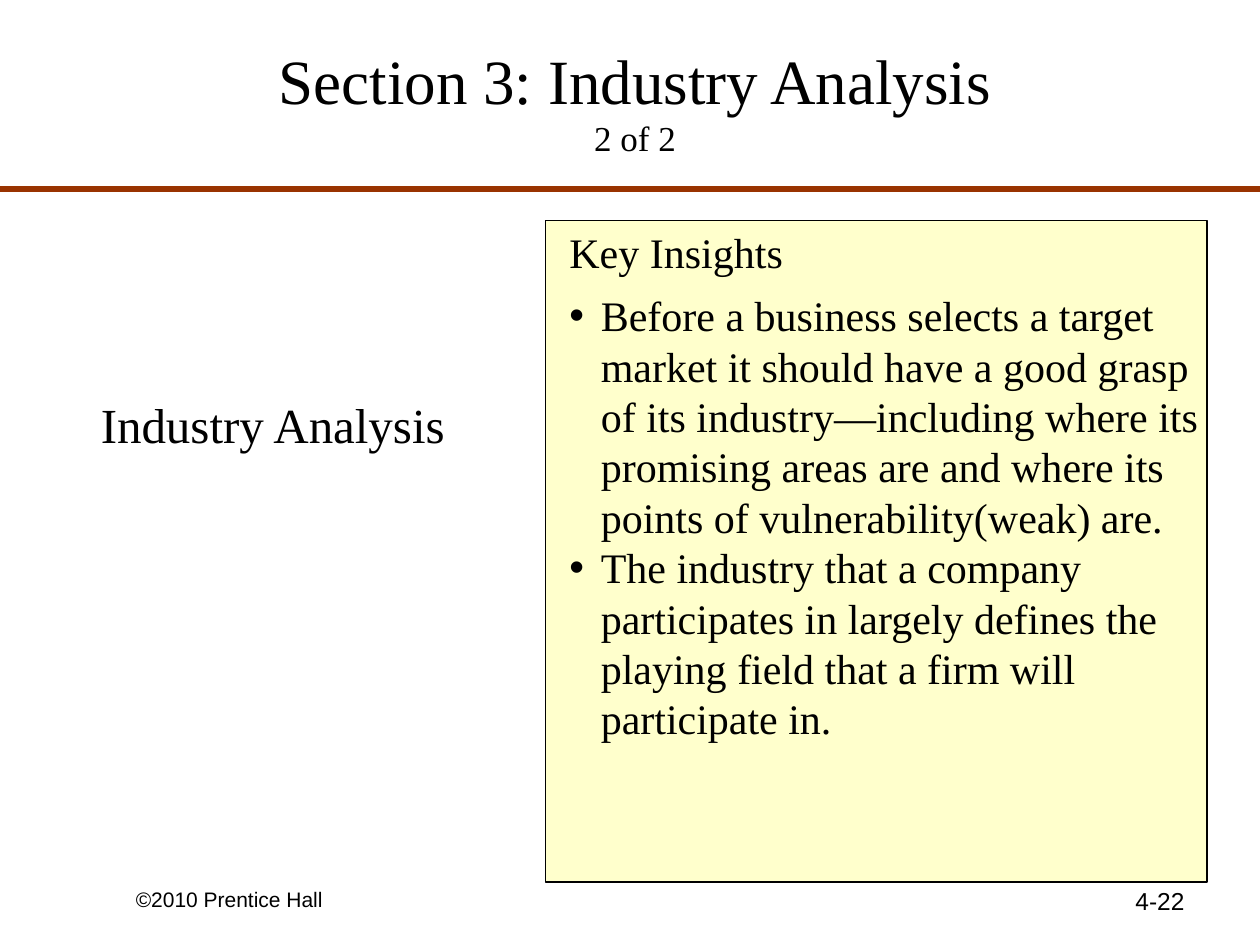
from dataclasses import dataclass

import lxml.etree
import pptx
import pptx.dml.color
import pptx.enum.shapes
import pptx.enum.text
import pptx.oxml.ns
import pptx.util

Inches = pptx.util.Inches
Pt = pptx.util.Pt
RGBColor = pptx.dml.color.RGBColor
Align = pptx.enum.text.PP_ALIGN
Anchor = pptx.enum.text.MSO_ANCHOR
qn = pptx.oxml.ns.qn


@dataclass(frozen=True)
class Theme:
    ink: RGBColor = RGBColor(0, 0, 0)
    rule: RGBColor = RGBColor(0x99, 0x33, 0x00)
    panel: RGBColor = RGBColor(0xFF, 0xFF, 0xCC)
    serif: str = "Times New Roman"
    sans: str = "Arial"
    title: int = 36
    subtitle: int = 20
    topic: int = 28
    body: int = 24
    page: int = 14
    footer: int = 12
    leading: float = 1.2
    bullet_indent: float = 0.25


theme = Theme()

presentation = pptx.Presentation()
presentation.slide_width = Inches(10)
presentation.slide_height = Inches(7.5)
slide = presentation.slides.add_slide(presentation.slide_layouts[6])


def add_text(paragraphs, left, top, width, height, *, size, font=theme.serif,
             align=Align.LEFT, anchor=Anchor.TOP, bullets=False, leading=None):
    """Add a text box; each paragraph is a list of (text, size) runs or a string."""
    box = slide.shapes.add_textbox(Inches(left), Inches(top), Inches(width), Inches(height))
    frame = box.text_frame
    frame.word_wrap = True
    frame.vertical_anchor = anchor
    for index, content in enumerate(paragraphs):
        paragraph = frame.add_paragraph() if index else frame.paragraphs[0]
        paragraph.alignment = align
        if leading:
            paragraph.line_spacing = Pt(size * leading)
        if bullets:
            properties = paragraph._p.get_or_add_pPr()
            indent = Inches(theme.bullet_indent)
            properties.set("marL", str(indent))
            properties.set("indent", str(-indent))
            lxml.etree.SubElement(properties, qn("a:buFont"), typeface=theme.sans)
            lxml.etree.SubElement(properties, qn("a:buChar"), char="•")
        runs = [(content, size)] if isinstance(content, str) else content
        for position, (text, run_size) in enumerate(runs):
            if position:
                paragraph.add_line_break()
            run = paragraph.add_run()
            run.text = text
            run.font.name = font
            run.font.size = Pt(run_size)
            run.font.color.rgb = theme.ink
    return box


# Header
add_text([[("Section 3: Industry Analysis", theme.title), ("2 of 2", theme.subtitle)]],
         0.33, 0.17, 9.42, 1.25, size=theme.title, align=Align.CENTER, anchor=Anchor.MIDDLE)

header_rule = slide.shapes.add_connector(
    pptx.enum.shapes.MSO_CONNECTOR.STRAIGHT, Inches(0), Inches(1.5), Inches(10), Inches(1.5))
header_rule.line.color.rgb = theme.rule
header_rule.line.width = Pt(3)
lxml.etree.SubElement(header_rule._element.spPr, qn("a:effectLst"))

# Topic on the left
add_text(["Industry Analysis"], 0, 3.08, 4.33, 0.57, size=theme.topic,
         align=Align.CENTER, leading=theme.leading)

# Key insights panel on the right
panel = slide.shapes.add_shape(
    pptx.enum.shapes.MSO_SHAPE.RECTANGLE, Inches(4.33), Inches(1.75), Inches(5.25), Inches(5.25))
panel.shadow.inherit = False
panel.fill.solid()
panel.fill.fore_color.rgb = theme.panel
panel.line.color.rgb = theme.ink
panel.line.width = Pt(0.75)

add_text(["Key Insights"], 4.42, 1.75, 5.08, 0.5, size=theme.body, leading=theme.leading)

insights = [
    "Before a business selects a target market it should have a good grasp of its "
    "industry—including where its promising areas are and where its points of "
    "vulnerability(weak) are.",
    "The industry that a company participates in largely defines the playing field "
    "that a firm will participate in.",
]
add_text(insights, 4.42, 2.25, 5.25, 3.7, size=theme.body, bullets=True, leading=theme.leading)

# Footer
add_text(["©2010 Prentice Hall"], 0.98, 6.99, 2.33, 0.27, size=theme.footer, font=theme.sans)
add_text(["4-22"], 7.17, 6.98, 2.33, 0.52, size=theme.page, font=theme.sans, align=Align.RIGHT)

presentation.save("out.pptx")
